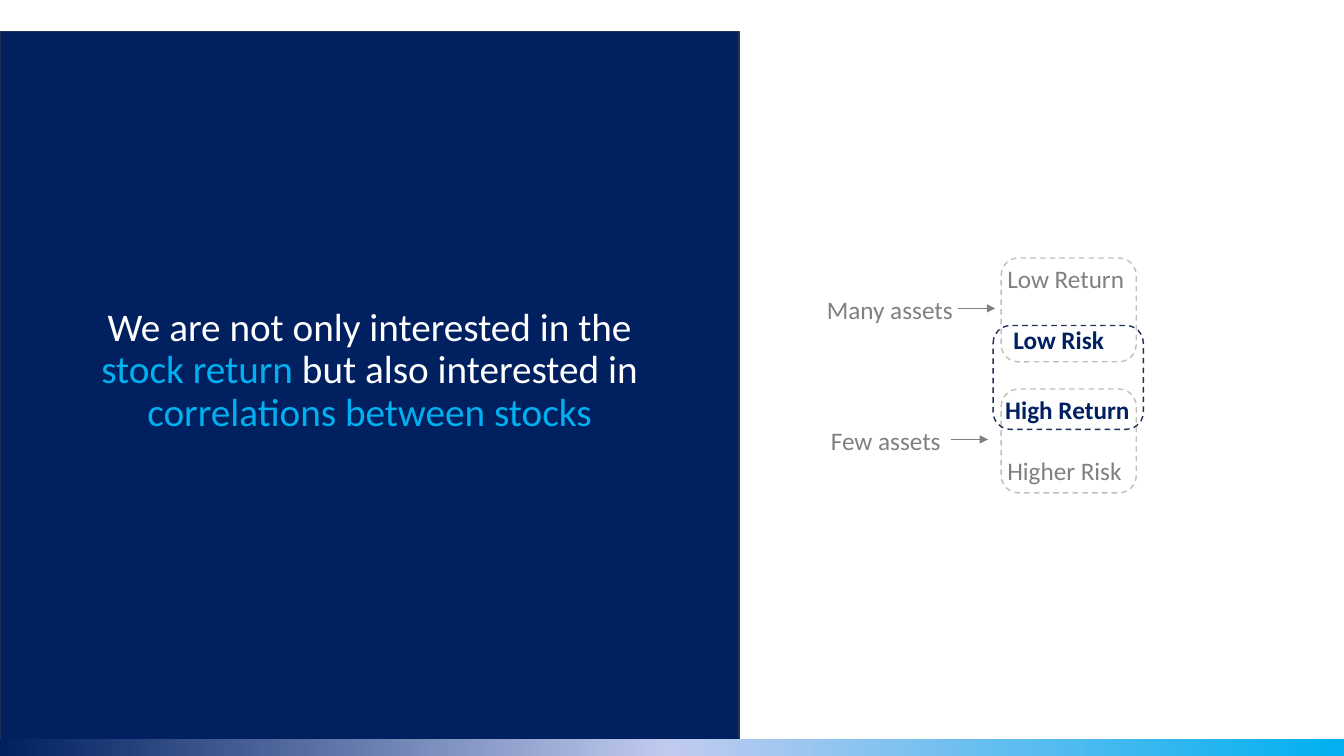
import copy
import dataclasses

import pptx
import pptx.dml.color
import pptx.enum.dml
import pptx.enum.shapes
import pptx.enum.text
import pptx.oxml
import pptx.oxml.ns
import pptx.util

Inches = pptx.util.Inches
Pt = pptx.util.Pt
RGB = pptx.dml.color.RGBColor.from_string
SHAPE = pptx.enum.shapes.MSO_SHAPE
qn = pptx.oxml.ns.qn


@dataclasses.dataclass(frozen=True)
class Theme:
    """Colours, font and type sizes of the slide."""
    navy: str = "002060"
    outline: str = "1E3256"
    sky: str = "00B0F0"
    lavender: str = "C0CBF0"
    grey: str = "808080"
    silver: str = "BFBFBF"
    white: str = "FFFFFF"
    font: str = "Calibri"
    statement_size: float = 28
    label_size: float = 18


THEME = Theme()


def add_block(slide, kind, box, fill=None, line=None, dashed=False):
    """Add a preset shape with an optional solid fill and outline."""
    block = slide.shapes.add_shape(kind, *map(Inches, box))
    block.shadow.inherit = False
    if fill:
        block.fill.solid()
        block.fill.fore_color.rgb = RGB(fill)
    else:
        block.fill.background()
    if line:
        block.line.color.rgb = RGB(line)
        block.line.width = Pt(1)
        if dashed:
            block.line.dash_style = pptx.enum.dml.MSO_LINE.DASH
    else:
        block.line.fill.background()
    return block


def add_label(slide, left, top, wording, emphasised=False):
    """Add one line of diagram text with its top left corner at the point."""
    label = slide.shapes.add_textbox(*map(Inches, (left, top, 1.35, 0.31)))
    frame = label.text_frame
    frame.margin_left = frame.margin_right = 0
    frame.margin_top = frame.margin_bottom = 0
    frame.word_wrap = False
    line = frame.paragraphs[0]
    line.text = wording
    line.font.name = THEME.font
    line.font.size = Pt(THEME.label_size)
    line.font.bold = emphasised
    line.font.color.rgb = RGB(THEME.navy if emphasised else THEME.grey)


def add_arrow(slide, left, y, length):
    """Add a thin horizontal arrow pointing right."""
    arrow = slide.shapes.add_connector(
        pptx.enum.shapes.MSO_CONNECTOR.STRAIGHT,
        *map(Inches, (left, y, left + length, y)))
    arrow.line.color.rgb = RGB(THEME.grey)
    arrow.line.width = Pt(0.5)
    pptx.oxml.ns.qn
    head = arrow.line._get_or_add_ln().makeelement(qn("a:tailEnd"), {"type": "triangle"})
    arrow.line._get_or_add_ln().append(head)
    properties = arrow._element.spPr
    properties.append(properties.makeelement(qn("a:effectLst"), {}))


def add_statement(slide, box):
    """Fill the navy panel and centre the key message on it."""
    left, top, width, height = box
    add_block(slide, SHAPE.RECTANGLE, box, THEME.navy, THEME.outline)
    message = slide.placeholders[1]
    message.left, message.top = Inches(left + 0.71), Inches(top + 2.69)
    message.width, message.height = Inches(width - 1.42), Inches(2.17)
    slide.shapes._spTree.append(message._element)
    frame = message.text_frame
    frame.word_wrap = True
    frame.auto_size = pptx.enum.text.MSO_AUTO_SIZE.NONE
    frame.vertical_anchor = pptx.enum.text.MSO_ANCHOR.TOP
    sentence = frame.paragraphs[0]
    properties = sentence._p.get_or_add_pPr()
    properties.set("marL", "0")
    properties.set("indent", "0")
    properties.append(properties.makeelement(qn("a:buNone"), {}))
    sentence.alignment = pptx.enum.text.PP_ALIGN.CENTER
    sentence.line_spacing = 0.9
    sentence.space_before = Pt(0)
    sentence.font.name = THEME.font
    sentence.font.size = Pt(THEME.statement_size)
    for wording, colour in (
            ("We are not only interested in the ", THEME.white),
            ("stock return", THEME.sky),
            (" but also interested in ", THEME.white),
            ("correlations between stocks", THEME.sky)):
        phrase = sentence.add_run()
        phrase.text = wording
        phrase.font.color.rgb = RGB(colour)


def add_trade_off(slide, box, assets, assets_indent, arrow_indent, outcomes):
    """Link a portfolio size to its dashed card of return and risk."""
    left, top, width, height = box
    card_width = 1.34
    card_left = left + width - card_width
    add_label(slide, left + assets_indent, top + 0.36, assets)
    add_arrow(slide, left + arrow_indent, top + 0.5, 0.37)
    for row, (wording, indent, emphasised) in enumerate(outcomes):
        add_label(slide, card_left + indent, top + 0.05 + row * 0.61,
                  wording, emphasised)
    add_block(slide, SHAPE.ROUNDED_RECTANGLE,
              (card_left, top, card_width, height),
              line=THEME.silver, dashed=True)


def add_diagram(slide, box):
    """Draw both trade-offs and frame the desired outcomes they share."""
    left, top, width, height = box
    card_height = 1.03
    add_trade_off(slide, (left, top, width, card_height),
                  "Many assets", 0, 1.3,
                  (("Low Return", 0.06, False), ("Low Risk", 0.12, True)))
    add_trade_off(slide, (left, top + height - card_height, width, card_height),
                  "Few assets", 0.04, 1.23,
                  (("High Return", 0.04, True), ("Higher Risk", 0.06, False)))
    add_block(slide, SHAPE.ROUNDED_RECTANGLE,
              (left + width - 1.42, top + 0.67, 1.49, card_height),
              line=THEME.outline, dashed=True)


def add_footer_strip(slide, box):
    """Draw the gradient strip along the foot of the slide."""
    strip = add_block(slide, SHAPE.RECTANGLE, box)
    strip.fill.gradient()
    strip.fill.gradient_angle = 0
    first = strip._element.spPr.find(".//" + qn("a:gs"))
    first.addnext(copy.deepcopy(first))
    colours = (THEME.navy, THEME.lavender, THEME.sky)
    for step, (stop, colour) in enumerate(zip(strip.fill.gradient_stops, colours)):
        stop.position = step / 2
        stop.color.rgb = RGB(colour)


def main():
    """Build and save the slide."""
    deck = pptx.Presentation()
    deck.slide_width, deck.slide_height = Inches(13.33), Inches(7.5)
    slide = deck.slides.add_slide(deck.slide_layouts[1])
    heading = slide.shapes.title._element
    heading.getparent().remove(heading)
    add_statement(slide, (0, 0.31, 7.33, 7.19))
    add_diagram(slide, (8.2, 2.56, 3.07, 2.33))
    add_footer_strip(slide, (0, 7.33, 13.33, 0.17))
    deck.save("out.pptx")


if __name__ == "__main__":
    main()
